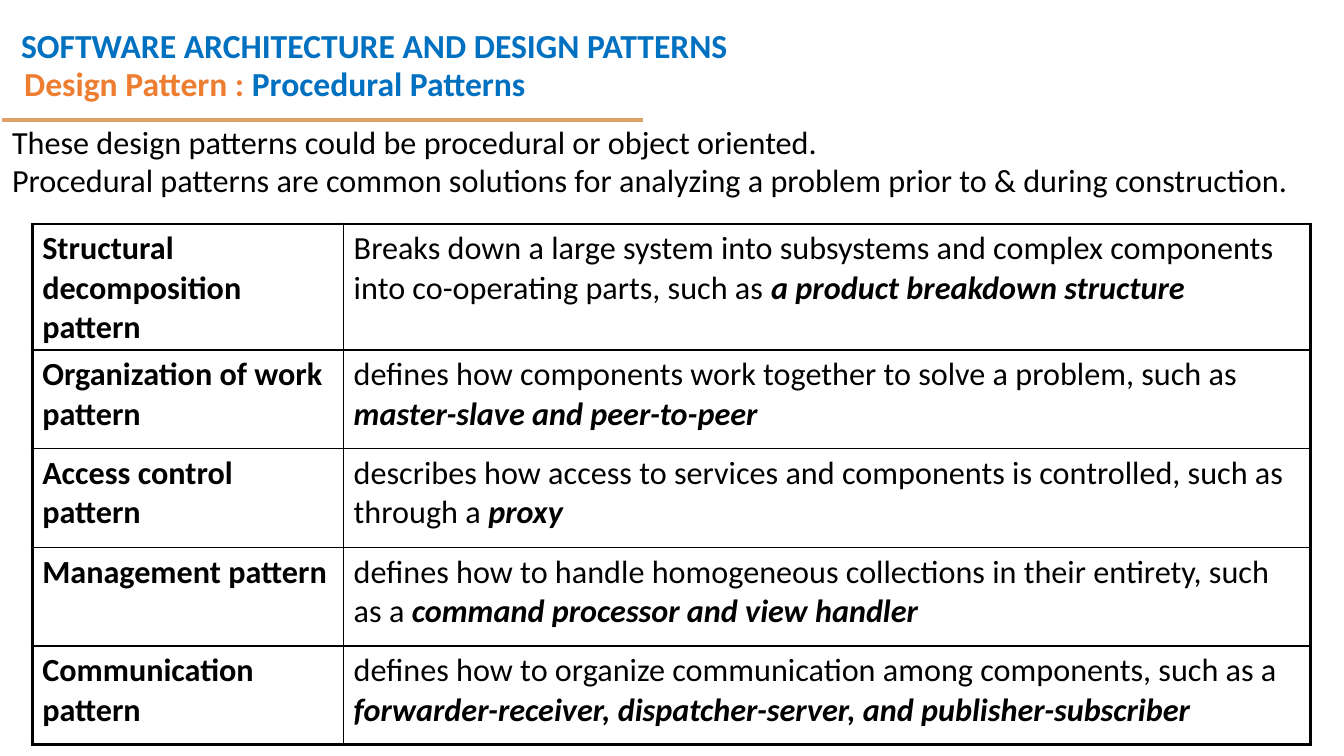
from dataclasses import dataclass

from lxml import etree
from pptx import Presentation
from pptx.dml.color import RGBColor
from pptx.enum import shapes, text
from pptx.oxml import ns
from pptx.util import Pt

BLUE = RGBColor(0x00, 0x70, 0xC0)
ORANGE = RGBColor(0xED, 0x7D, 0x31)
SAND = RGBColor(0xDF, 0xA2, 0x67)
BLACK = RGBColor(0x00, 0x00, 0x00)

HEADING = {"name": "Calibri", "size": Pt(24), "bold": True, "italic": False}
PLAIN = {"name": "Calibri", "size": Pt(23), "bold": False, "italic": False}
STRONG = {**PLAIN, "bold": True}
EXAMPLE = {**STRONG, "italic": True}

COLUMN_WIDTHS = (222.5, 690.5)
ROW_HEIGHT = 70.5
OUTER_LINE, INNER_LINE = 2.25, 1


@dataclass(frozen=True)
class Pattern:
    name: str
    description: str
    example: str


PATTERNS = [
    Pattern("Structural decomposition pattern",
            "Breaks down a large system into subsystems and complex components "
            "into co-operating parts, such as ",
            "a product breakdown structure"),
    Pattern("Organization of work pattern",
            "defines how components work together to solve a problem, such as ",
            "master-slave and peer-to-peer"),
    Pattern("Access control pattern",
            "describes how access to services and components is controlled, "
            "such as through a ",
            "proxy"),
    Pattern("Management pattern",
            "defines how to handle homogeneous collections in their entirety, "
            "such as a ",
            "command processor and view handler"),
    Pattern("Communication pattern",
            "defines how to organize communication among components, such as a ",
            "forwarder-receiver, dispatcher-server, and publisher-subscriber"),
]
INTRO = [
    "These design patterns could be procedural or object oriented.",
    "Procedural patterns are common solutions for analyzing a problem "
    "prior to & during construction.",
]


def add_run(paragraph, words: str, style: dict, color: RGBColor = BLACK) -> None:
    run = paragraph.add_run()
    run.text = words
    for attribute, value in style.items():
        setattr(run.font, attribute, value)
    run.font.color.rgb = color


def add_text_frame(slide, left: float, top: float, width: float, height: float):
    frame = slide.shapes.add_textbox(Pt(left), Pt(top), Pt(width), Pt(height)).text_frame
    frame.word_wrap = True
    return frame


def add_course_heading(slide) -> None:
    paragraph = add_text_frame(slide, 8, 0, 584.5, 46).paragraphs[0]
    paragraph.line_spacing = 1.5
    add_run(paragraph, "SOFTWARE ARCHITECTURE AND DESIGN PATTERNS", HEADING, BLUE)


def add_heading_rule(slide) -> None:
    rule = slide.shapes.add_connector(
        shapes.MSO_CONNECTOR.STRAIGHT, Pt(1.5), Pt(85.7), Pt(459.5), Pt(85.7))
    rule.line.color.rgb = SAND
    rule.line.width = Pt(3)
    etree.SubElement(rule._element.spPr, ns.qn("a:effectLst"))


def fill_title(slide) -> None:
    title = slide.shapes.title
    title.left, title.top, title.width, title.height = Pt(10), Pt(39), Pt(448.5), Pt(44)
    frame = title.text_frame
    frame.auto_size = text.MSO_AUTO_SIZE.NONE
    frame.vertical_anchor = text.MSO_ANCHOR.MIDDLE
    paragraph = frame.paragraphs[0]
    paragraph.alignment = text.PP_ALIGN.LEFT
    paragraph.line_spacing = 0.9
    add_run(paragraph, "Design Pattern : ", HEADING, ORANGE)
    add_run(paragraph, "Procedural Patterns", HEADING, BLUE)


def add_intro(slide) -> None:
    frame = add_text_frame(slide, 1.5, 83.5, 943, 63.5)
    for index, sentence in enumerate(INTRO):
        paragraph = frame.add_paragraph() if index else frame.paragraphs[0]
        paragraph.alignment = text.PP_ALIGN.JUSTIFY
        add_run(paragraph, sentence, PLAIN)


def draw_borders(cell, outer_sides: dict[str, bool]) -> None:
    """Line each side of the cell, thicker where it lies on the table's edge."""
    properties = cell._tc.get_or_add_tcPr()
    for side, is_outer in outer_sides.items():
        width = Pt(OUTER_LINE if is_outer else INNER_LINE)
        border = etree.SubElement(properties, ns.qn(f"a:ln{side}"), w=str(width))
        fill = etree.SubElement(border, ns.qn("a:solidFill"))
        etree.SubElement(fill, ns.qn("a:srgbClr"), val=str(BLACK))


def add_pattern_table(slide) -> None:
    last_row = len(PATTERNS) - 1
    table = slide.shapes.add_table(
        len(PATTERNS), len(COLUMN_WIDTHS), Pt(23), Pt(160),
        Pt(sum(COLUMN_WIDTHS)), Pt(ROW_HEIGHT * len(PATTERNS))).table
    table.first_row = table.horz_banding = False
    for column, width in zip(table.columns, COLUMN_WIDTHS):
        column.width = Pt(width)
    for row_index, pattern in enumerate(PATTERNS):
        table.rows[row_index].height = Pt(ROW_HEIGHT)
        name_cell, meaning_cell = table.rows[row_index].cells
        add_run(name_cell.text_frame.paragraphs[0], pattern.name, STRONG)
        meaning = meaning_cell.text_frame.paragraphs[0]
        add_run(meaning, pattern.description, PLAIN)
        add_run(meaning, pattern.example, EXAMPLE)
        for cell in (name_cell, meaning_cell):
            draw_borders(cell, {"L": cell is name_cell, "R": cell is meaning_cell,
                                "T": row_index == 0, "B": row_index == last_row})
            cell.fill.background()


def main() -> None:
    presentation = Presentation()
    presentation.slide_width, presentation.slide_height = Pt(960), Pt(540)
    slide = presentation.slides.add_slide(presentation.slide_layouts.get_by_name("Title Only"))
    add_course_heading(slide)
    add_heading_rule(slide)
    fill_title(slide)
    add_intro(slide)
    add_pattern_table(slide)
    presentation.save("out.pptx")


if __name__ == "__main__":
    main()
